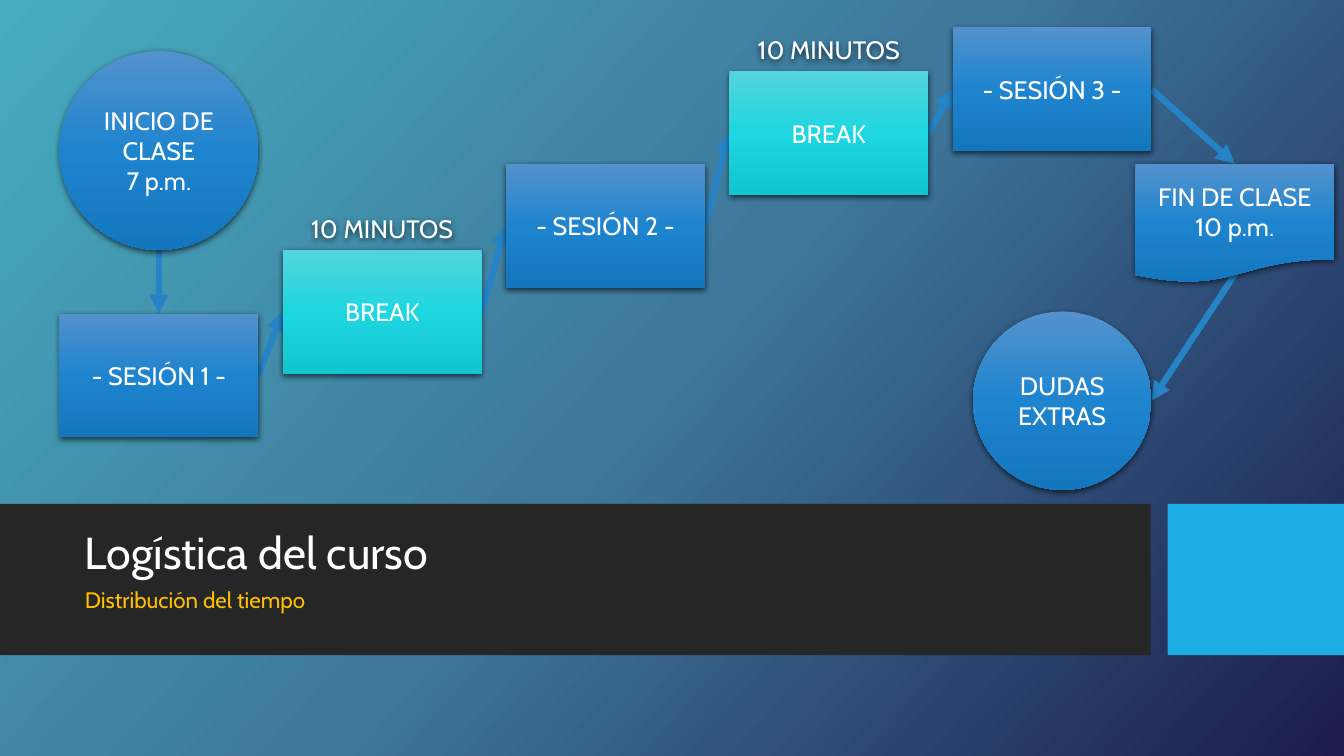
from lxml.etree import SubElement
from pptx import Presentation
from pptx.dml.color import RGBColor
from pptx.enum.shapes import MSO_CONNECTOR, MSO_SHAPE
from pptx.enum.text import MSO_ANCHOR, PP_ALIGN
from pptx.oxml.ns import qn
from pptx.util import Pt

BLUE = ("5492CD", "1E84CE", "1477BE")
TEAL = ("54D4DD", "1ED6E0", "13C5CF")
W, H = 960, 540


def rgb(hex_color):
    return RGBColor.from_string(hex_color)


def set_gradient(fill, element, colors, angle):
    """Evenly spaced stops; angle runs clockwise in degrees."""
    fill.gradient()
    fill.gradient_angle = 360 - angle
    stops = element.find(".//" + qn("a:gsLst"))
    for gs in list(stops):
        stops.remove(gs)
    for i, color in enumerate(colors):
        gs = SubElement(stops, qn("a:gs"), pos=str(100000 * i // (len(colors) - 1)))
        SubElement(gs, qn("a:srgbClr"), val=color)


def add_shadow(shape):
    effects = shape._element.spPr.find(qn("a:effectLst"))
    shadow = SubElement(effects, qn("a:outerShdw"), blurRad=str(Pt(4.5)), dist=str(Pt(1.5)),
                        dir="5400000", algn="ctr", rotWithShape="0")
    color = SubElement(shadow, qn("a:srgbClr"), val="000000")
    SubElement(color, qn("a:alpha"), val="63000")


def write(tf, lines, size, color="FFFFFF", anchor=MSO_ANCHOR.MIDDLE, **para_format):
    tf.word_wrap = True
    tf.vertical_anchor = anchor
    for i, line in enumerate(lines):
        p = tf.paragraphs[0] if i == 0 else tf.add_paragraph()
        for name, value in para_format.items():
            setattr(p, name, value)
        r = p.add_run()
        r.text = line
        for name, value in {"name": "Cabin", "size": Pt(size)}.items():
            setattr(r.font, name, value)
        r.font.color.rgb = rgb(color)


def add_shape(s, kind, box):
    sp = s.shapes.add_shape(kind, *map(Pt, box))
    sp.shadow.inherit = False
    sp.line.fill.background()
    return sp


def add_step(s, kind, box, lines, colors=None):
    sp = add_shape(s, kind, box)
    if colors:
        set_gradient(sp.fill, sp._element, colors, 90)
    else:
        sp.fill.background()
    add_shadow(sp)
    write(sp.text_frame, lines, 18, alignment=PP_ALIGN.CENTER)


def add_arrow(s, start, end):
    c = s.shapes.add_connector(MSO_CONNECTOR.STRAIGHT, *map(Pt, start + end))
    c.line.width = Pt(4.5)
    c.line.color.rgb = rgb("2683C6")
    SubElement(c.line._get_or_add_ln(), qn("a:tailEnd"), type="triangle")
    SubElement(c._element.spPr, qn("a:effectLst"))


def port(box, fx, fy):
    x, y, w, h = box
    return x + fx * w, y + fy * h


def add_title_band(s, x, y, w, h):
    tile_w, gap = 126, 12
    band_w = w - tile_w - gap
    for box, color in [((x, y, band_w, h), "262626"),
                       ((x + w - tile_w, y, tile_w, h), "1CADE4")]:
        sp = add_shape(s, MSO_SHAPE.RECTANGLE, box)
        sp.fill.solid()
        sp.fill.fore_color.rgb = rgb(color)
    title = s.shapes.add_textbox(Pt(x + 53.5), Pt(y + 11), Pt(757), Pt(46))
    write(title.text_frame, ["Logística del curso"], 32, anchor=MSO_ANCHOR.BOTTOM,
          line_spacing=0.9)
    subtitle = s.shapes.add_textbox(Pt(x + 53.5), Pt(y + 57.5), Pt(757), Pt(40))
    write(subtitle.text_frame, ["Distribución del tiempo"], 16, "FFC000", MSO_ANCHOR.TOP,
          line_spacing=0.9, space_before=Pt(10))


def add_timeline(s, x, y):
    step_w, step_h, pitch = 142, 88.5, 159.5
    # Rising staircase of sessions and breaks: text, top, colours
    steps = [("- SESIÓN 1 -", 224, BLUE), ("BREAK", 178.5, TEAL), ("- SESIÓN 2 -", 117, BLUE),
             ("BREAK", 51, TEAL), ("- SESIÓN 3 -", 19.5, BLUE)]
    boxes = [(x + i * pitch, y + top, step_w, step_h) for i, (_, top, _) in enumerate(steps)]
    first, last = boxes[0], boxes[-1]
    start = (x, y + 36.5, step_w, step_w)
    end = (x + 768.5, y + 117, step_w, 85)
    doubts = (last[0] + step_w - 127.5, y + 222.5, 127.5, 127.5)

    # Arrows lie behind the steps
    add_arrow(s, port(end, 0.5, 0.93), port(doubts, 1, 0.5))
    add_arrow(s, port(last, 1, 0.5), port(end, 0.5, 0))
    for a, b in zip(boxes, boxes[1:]):
        add_arrow(s, port(a, 1, 0.5), port(b, 0, 0.5))
    add_arrow(s, port(start, 0.5, 1), port(first, 0.5, 0))

    add_step(s, MSO_SHAPE.OVAL, start, ["INICIO DE CLASE", "7 p.m."], BLUE)
    for (text, _, colors), box in zip(steps, boxes):
        add_step(s, MSO_SHAPE.FLOWCHART_PROCESS, box, [text], colors)
    add_step(s, MSO_SHAPE.FLOWCHART_DOCUMENT, end, ["FIN DE CLASE", "10 p.m."], BLUE)
    add_step(s, MSO_SHAPE.OVAL, doubts, ["DUDAS EXTRAS"], BLUE)

    # Duration above each break
    for bx, by, _, _ in boxes[1::2]:
        add_step(s, MSO_SHAPE.OVAL, (bx - 16, by - 49, 174, 67), ["10 MINUTOS"])


def main():
    prs = Presentation()
    prs.slide_width, prs.slide_height = Pt(W), Pt(H)
    s = prs.slides.add_slide(prs.slide_layouts[6])
    set_gradient(s.background.fill, s.element, ("46ACBE", "3E779B", "1C1C4C"), 42)
    add_title_band(s, 0, 360, W, 108)
    add_timeline(s, 42.5, 0)
    prs.save("out.pptx")


if __name__ == "__main__":
    main()
